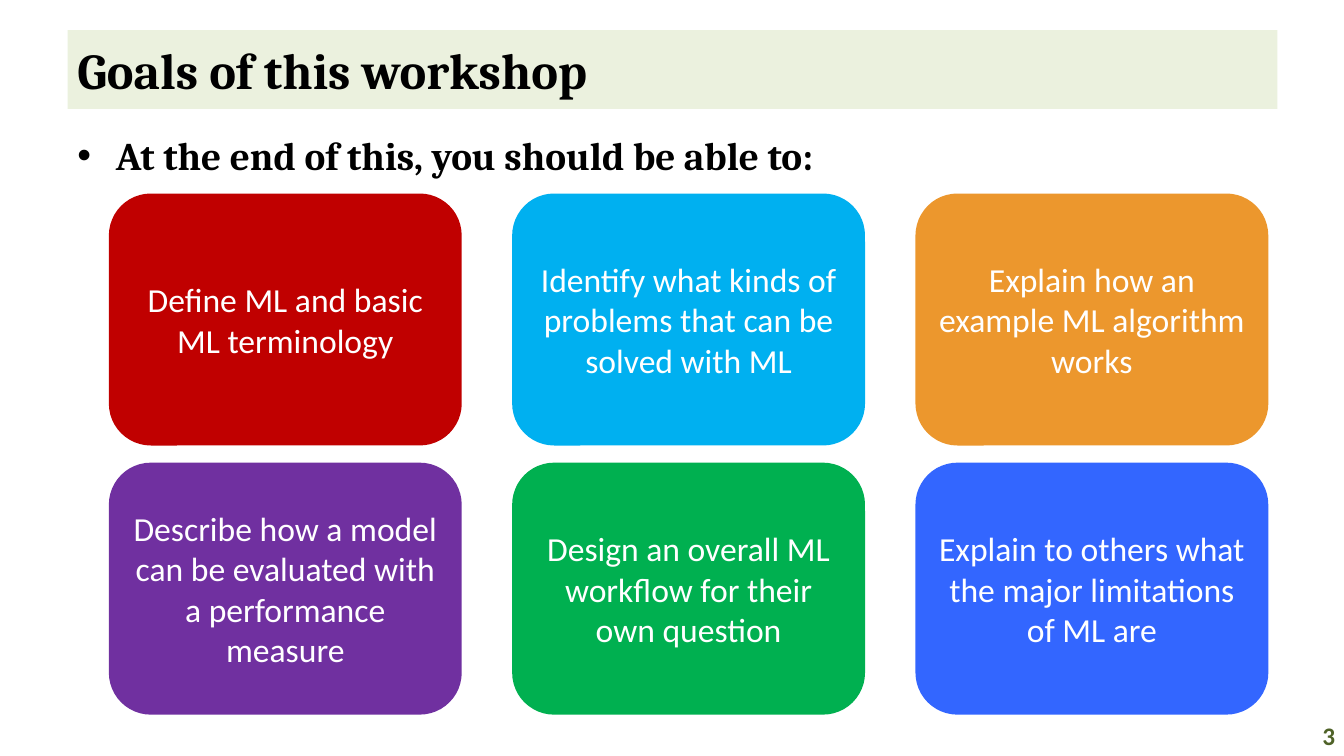
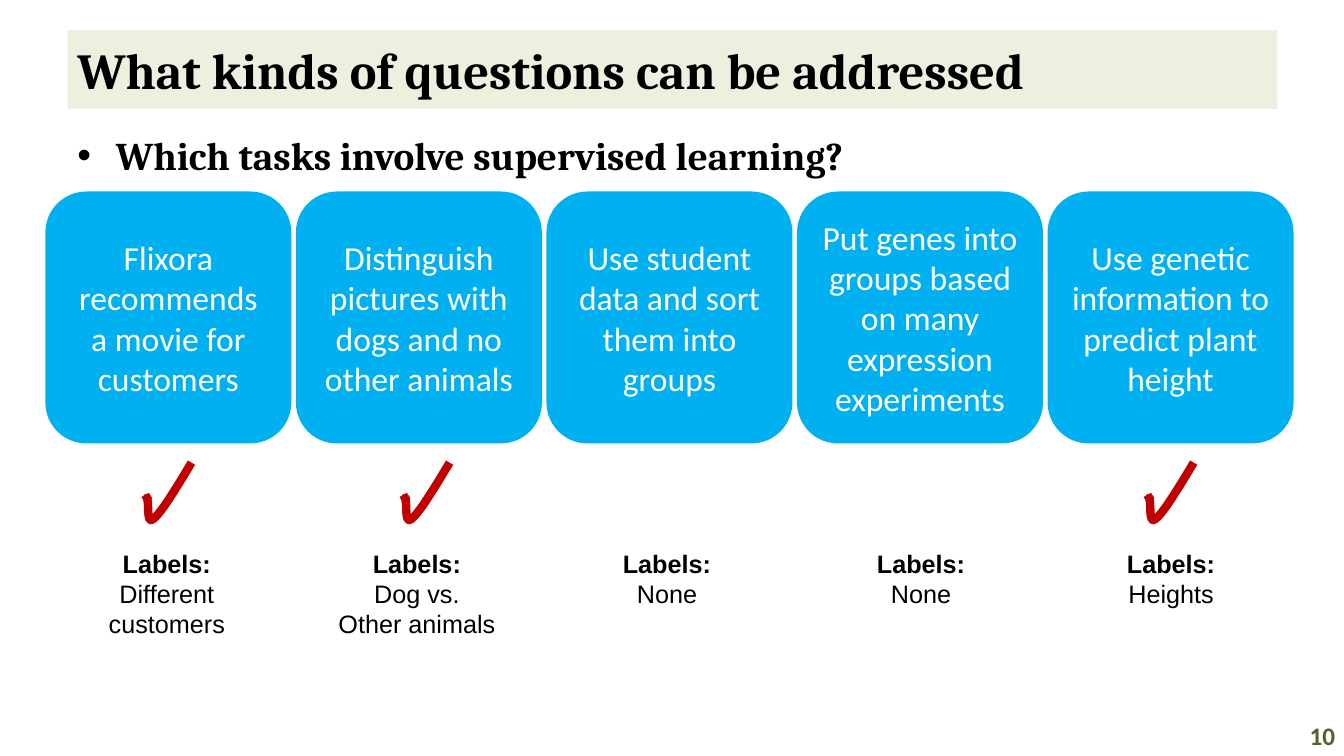
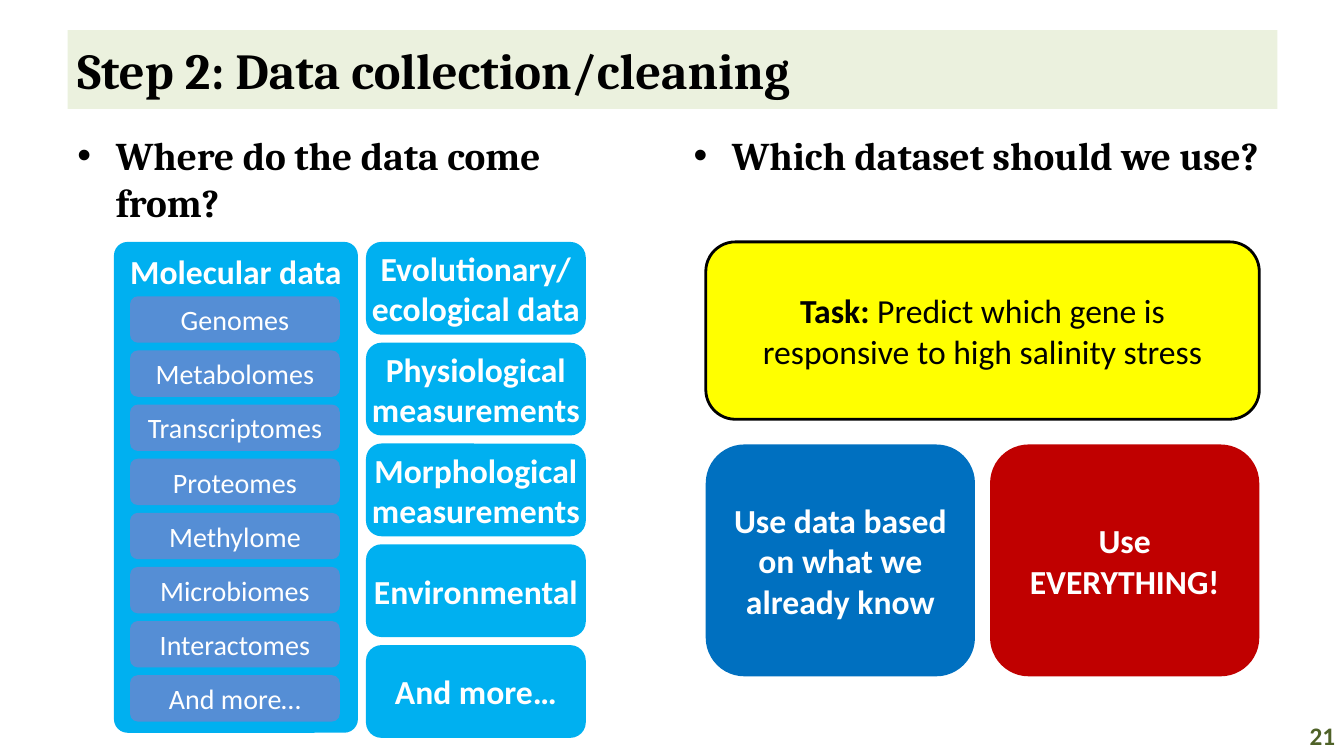
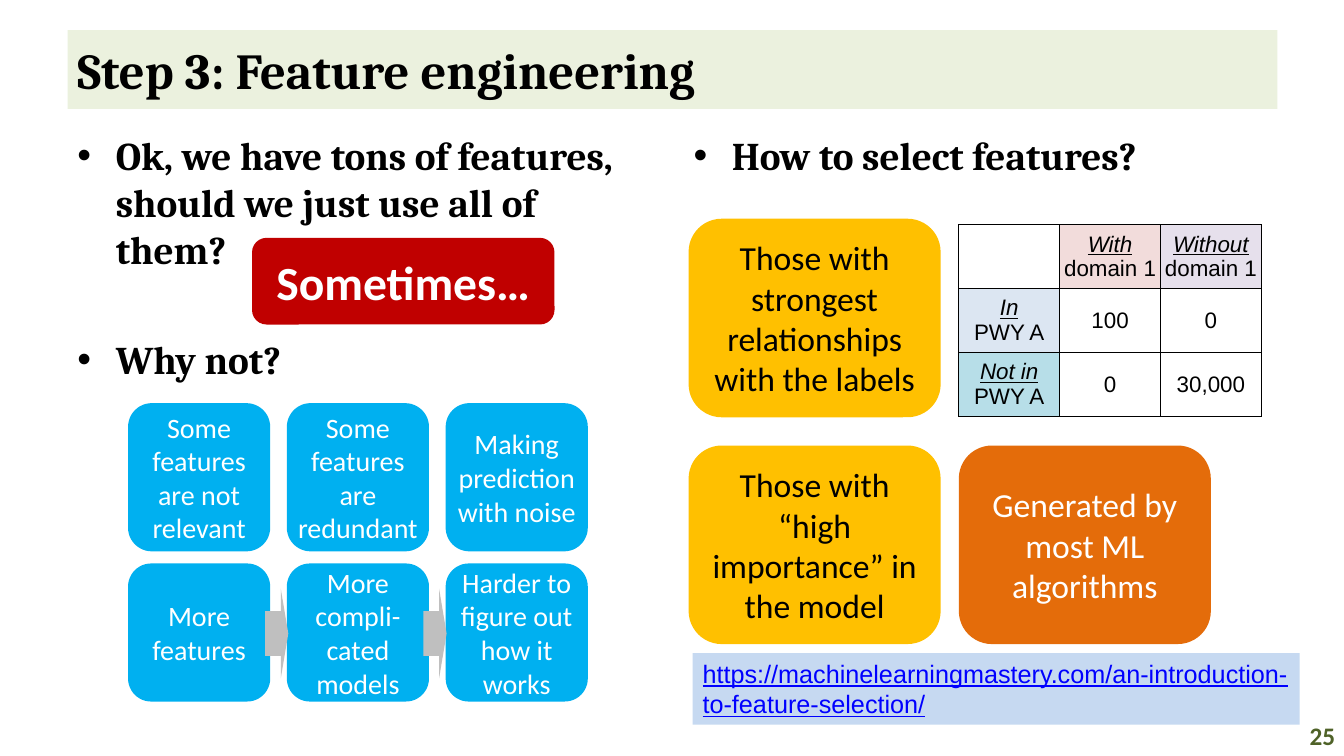
import pptx
import pptx.dml.color
import pptx.enum.shapes
import pptx.enum.text
import pptx.oxml
import pptx.oxml.ns
import pptx.util

Inches = pptx.util.Inches
Pt = pptx.util.Pt
RGBColor = pptx.dml.color.RGBColor
MSO_SHAPE = pptx.enum.shapes.MSO_SHAPE
MSO_ANCHOR = pptx.enum.text.MSO_ANCHOR
MSO_AUTO_SIZE = pptx.enum.text.MSO_AUTO_SIZE
PP_ALIGN = pptx.enum.text.PP_ALIGN

BLACK = RGBColor(0x00, 0x00, 0x00)
WHITE = RGBColor(0xFF, 0xFF, 0xFF)
BAND = RGBColor(0xEB, 0xF1, 0xDE)
OLIVE = RGBColor(0x4F, 0x62, 0x28)
RED = RGBColor(0xC0, 0x00, 0x00)
SKY = RGBColor(0x00, 0xB0, 0xF0)
ORANGE = RGBColor(0xEC, 0x97, 0x2D)
PURPLE = RGBColor(0x70, 0x30, 0xA0)
GREEN = RGBColor(0x00, 0xB0, 0x50)
ROYAL = RGBColor(0x33, 0x66, 0xFF)
BLUE = RGBColor(0x00, 0x70, 0xC0)
STEEL = RGBColor(0x55, 0x8E, 0xD5)
YELLOW = RGBColor(0xFF, 0xFF, 0x00)
AMBER = RGBColor(0xFF, 0xC0, 0x00)
RUST = RGBColor(0xE4, 0x6C, 0x0A)
GRAY = RGBColor(0xBF, 0xBF, 0xBF)
LINK = RGBColor(0x00, 0x00, 0xFF)
LINK_BAND = RGBColor(0xC6, 0xD9, 0xF1)
PINK = RGBColor(0xF2, 0xDC, 0xDB)
LILAC = RGBColor(0xE6, 0xE0, 0xEC)
PALE_BLUE = RGBColor(0xDC, 0xE6, 0xF2)
TEAL = RGBColor(0xB7, 0xDE, 0xE8)

TITLE = {"name": "Cambria", "size": Pt(36), "bold": True, "color": BLACK}
BULLET = {**TITLE, "size": Pt(28)}
NUMBER = {"name": "Calibri", "size": Pt(18), "bold": True, "color": OLIVE}
CARD = {"name": "Calibri", "size": Pt(24), "color": WHITE}
CARD_BOLD = {**CARD, "bold": True}
CARD_DARK = {**CARD, "color": BLACK}
CARD_SMALL = {**CARD, "size": Pt(20)}
LABEL = {"name": "Arial", "size": Pt(18), "color": BLACK}
CELL = {**LABEL, "size": Pt(16)}
STRONG = {"bold": True}
STRESS = {"italic": True, "underline": True}

TICK_START = (0, 0.32)
TICK_CURVES = [
    ((0.05, 0.41), (0.01, 0.32), (0.02, 0.36)),
    ((0.04, 0.40), (0.01, 0.62), (0.08, 0.56)),
    ((0.16, 0.50), (0.31, 0.25), (0.46, 0)),
]


def box(x, y, w, h):
    return [Inches(v) for v in (x, y, w, h)]


def write(tf, paragraphs, fmt, align=PP_ALIGN.CENTER):
    """Fill a frame; a paragraph is a string or a list of (text, changes) runs."""
    if isinstance(paragraphs, str):
        paragraphs = [paragraphs]
    for i, runs in enumerate(paragraphs):
        p = tf.paragraphs[0] if i == 0 else tf.add_paragraph()
        p.alignment = align
        for text, changes in [(runs, {})] if isinstance(runs, str) else runs:
            r = p.add_run()
            r.text = text
            for key, value in {**fmt, **changes}.items():
                if key == "color":
                    r.font.color.rgb = value
                else:
                    setattr(r.font, key, value)


def add_box(slide, at, fill, text="", fmt=CARD, shape=MSO_SHAPE.ROUNDED_RECTANGLE,
            align=PP_ALIGN.CENTER, line=None, adjust=(), **frame):
    sp = slide.shapes.add_shape(shape, *box(*at))
    sp.shadow.inherit = False
    sp.fill.solid()
    sp.fill.fore_color.rgb = fill
    if line is None:
        sp.line.fill.background()
    else:
        sp.line.color.rgb = line
        sp.line.width = Pt(2)
    for i, value in enumerate(adjust):
        sp.adjustments[i] = value
    tf = sp.text_frame
    settings = {"word_wrap": True, "vertical_anchor": MSO_ANCHOR.MIDDLE, **frame}
    for key, value in settings.items():
        setattr(tf, key, value)
    if text:
        write(tf, text, fmt, align)
    return sp


def add_text(slide, at, text, fmt, align=PP_ALIGN.LEFT, **frame):
    tf = slide.shapes.add_textbox(*box(*at)).text_frame
    for key, value in {"word_wrap": True, **frame}.items():
        setattr(tf, key, value)
    write(tf, text, fmt, align)
    return tf


def add_bullets(slide, x, w, items, gap=0):
    tf = add_text(slide, (x, 1.25, w, 5.85), items, BULLET)
    for i, p in enumerate(tf.paragraphs):
        pPr = p._p.get_or_add_pPr()
        pPr.set("marL", str(Inches(0.38)))
        pPr.set("indent", str(-Inches(0.38)))
        for tag, key, value in (("a:buFont", "typeface", "Arial"), ("a:buChar", "char", "•")):
            bullet = pptx.oxml.ns.qn(tag)
            pPr.append(pPr.makeelement(bullet, {key: value}))
        if i:
            p.space_before = Pt(gap)


def add_tick(slide, x, y):
    steps = 8
    start = TICK_START
    points = []
    for a, b, end in TICK_CURVES:
        for t in (n / steps for n in range(1, steps + 1)):
            weights = ((1 - t) ** 3, 3 * t * (1 - t) ** 2, 3 * t * t * (1 - t), t ** 3)
            points.append(tuple(
                sum(k * q[axis] for k, q in zip(weights, (start, a, b, end)))
                for axis in (0, 1)))
        start = end
    place = [(Inches(x + dx), Inches(y + dy)) for dx, dy in [TICK_START] + points]
    builder = slide.shapes.build_freeform(*place[0])
    builder.add_line_segments(place[1:], close=False)
    sp = builder.convert_to_shape()
    sp.shadow.inherit = False
    sp.fill.background()
    sp.line.color.rgb = RED
    sp.line.width = Pt(6)


def add_borders(cell):
    tcPr = cell._tc.get_or_add_tcPr()
    for side in "LRTB":
        tcPr.append(pptx.oxml.parse_xml(
            f'<a:ln{side} {pptx.oxml.ns.nsdecls("a")} w="{Pt(1)}"><a:solidFill>'
            f'<a:srgbClr val="{BLACK}"/></a:solidFill></a:ln{side}>'))


def add_grid_table(slide, x, y, widths, heights, rows):
    """Each cell is a (paragraphs, fill) pair; no fill leaves it clear."""
    size = (sum(widths), sum(heights))
    table = slide.shapes.add_table(len(rows), len(widths), *box(x, y, *size)).table
    table.first_row = table.horz_banding = False
    for column, w in zip(table.columns, widths):
        column.width = Inches(w)
    for row, h, cells in zip(table.rows, heights, rows):
        row.height = Inches(h)
        for cell, (text, fill) in zip(row.cells, cells):
            cell.margin_left = cell.margin_right = 0
            cell.vertical_anchor = MSO_ANCHOR.MIDDLE
            add_borders(cell)
            if fill is None:
                cell.fill.background()
            else:
                cell.fill.solid()
                cell.fill.fore_color.rgb = fill
            if text:
                write(cell.text_frame, text, CELL)


def add_slide(prs, title, number):
    slide = prs.slides.add_slide(prs.slide_layouts[6])
    add_box(slide, (0.67, 0.3, 12, 0.78), BAND, title, TITLE,
            MSO_SHAPE.RECTANGLE, PP_ALIGN.LEFT)
    add_text(slide, (12.67, 7.1, 0.67, 0.4), str(number), NUMBER, PP_ALIGN.RIGHT,
             vertical_anchor=MSO_ANCHOR.MIDDLE)
    return slide


def goals_slide(prs):
    slide = add_slide(prs, "Goals of this workshop", 3)
    add_bullets(slide, 0.67, 12, ["At the end of this, you should be able to:"])
    goals = [
        ("Define ML and basic ML terminology", RED),
        ("Identify what kinds of problems that can be solved with ML", SKY),
        ("Explain how an example ML algorithm works", ORANGE),
        ("Describe how a model can be evaluated with a performance measure", PURPLE),
        ("Design an overall ML workflow for their own question", GREEN),
        ("Explain to others what the major limitations of ML are", ROYAL),
    ]
    for i, (text, fill) in enumerate(goals):
        row, col = divmod(i, 3)
        add_box(slide, (1.08 + 4 * col, 1.92 + 2.67 * row, 3.5, 2.5), fill, text)


def questions_slide(prs):
    slide = add_slide(prs, "What kinds of questions can be addressed", 10)
    add_bullets(slide, 0.67, 12, ["Which tasks involve supervised learning?"])
    # task, label lines, label left and width, left of the tick
    tasks = [
        ("Flixora recommends a movie for customers", ["Different", "customers"],
         0.97, 1.37, 1.44),
        ("Distinguish pictures with dogs and no other animals", ["Dog vs.", "Other animals"],
         3.25, 1.77, 4),
        ("Use student data and sort them into groups", ["None"], 6.07, 1.09, None),
        ("Put genes into groups based on many expression experiments", ["None"],
         8.59, 1.09, None),
        ("Use genetic information to predict plant height", ["Heights"], 11.07, 1.09, 11.38),
    ]
    for i, (task, labels, x, w, tick) in enumerate(tasks):
        add_box(slide, (0.45 + 2.485 * i, 1.9, 2.44, 2.5), SKY, task)
        if tick is not None:
            add_tick(slide, tick, 4.59)
        add_text(slide, (x, 5.39, w, 0.41 + 0.3 * len(labels)),
                 [[("Labels:", STRONG)]] + labels, LABEL, PP_ALIGN.CENTER,
                 word_wrap=False, auto_size=MSO_AUTO_SIZE.SHAPE_TO_FIT_TEXT)


def data_slide(prs):
    slide = add_slide(prs, "Step 2: Data collection/cleaning", 21)
    add_bullets(slide, 0.67, 5.89, ["Where do the data come from?"])
    add_bullets(slide, 6.78, 5.89, ["Which dataset should we use?"])

    add_box(slide, (1.13, 2.4, 2.42, 4.87), SKY, "Molecular data", CARD_BOLD,
            adjust=[0.056], word_wrap=False, vertical_anchor=MSO_ANCHOR.TOP)
    molecular = ["Genomes", "Metabolomes", "Transcriptomes", "Proteomes", "Methylome",
                 "Microbiomes", "Interactomes", "And more…"]
    for i, text in enumerate(molecular):
        add_box(slide, (1.29, 2.94 + 0.537 * i, 2.08, 0.46), STEEL, text, CARD_SMALL,
                word_wrap=False)

    other = [["Evolutionary/", "ecological data"], ["Physiological", "measurements"],
             ["Morphological", "measurements"], "Environmental", "And more…"]
    for i, text in enumerate(other):
        add_box(slide, (3.63, 2.4 + i, 2.18, 0.92), SKY, text, CARD_BOLD, word_wrap=False)

    task = [[("Task:", STRONG), (" Predict which gene is responsive to high salinity stress", {})]]
    add_box(slide, (7, 2.4, 5.49, 1.76), YELLOW, task, CARD_DARK, line=BLACK)
    choices = [("Use data based on what we already know", BLUE), ("Use EVERYTHING!", RED)]
    for i, (text, fill) in enumerate(choices):
        add_box(slide, (7 + 2.82 * i, 4.41, 2.67, 2.3), fill, text, CARD_BOLD)


def features_slide(prs):
    slide = add_slide(prs, "Step 3: Feature engineering", 25)
    add_bullets(slide, 0.67, 5.89, [
        "Ok, we have tons of features, should we just use all of them?", "Why not?"], gap=45)
    add_bullets(slide, 6.78, 5.89, ["How to select features?"])
    add_box(slide, (2.5, 2.36, 3, 0.86), RED, "Sometimes…", {**CARD_BOLD, "size": Pt(34)})

    reasons = [
        (4, 1.47, ["Some features are not relevant", "Some features are redundant",
                   "Making prediction with noise"]),
        (5.59, 1.37, ["More features", "More compli-cated models",
                      "Harder to figure out how it works"]),
    ]
    for y, h, texts in reasons:
        for i, text in enumerate(texts):
            add_box(slide, (1.27 + 1.575 * i, y, 1.41, h), SKY, text, CARD_SMALL,
                    margin_left=0, margin_right=0)
    for x in (2.63, 4.2):
        add_box(slide, (x, 5.84, 0.23, 0.89), GRAY, shape=MSO_SHAPE.RIGHT_ARROW,
                adjust=[0.5, 0.325])

    methods = [
        (6.83, 2.17, AMBER, "Those with strongest relationships with the labels", CARD_DARK),
        (6.83, 4.42, AMBER, "Those with “high importance” in the model", CARD_DARK),
        (9.51, 4.42, RUST, "Generated by most ML algorithms", CARD),
    ]
    for x, y, fill, text, fmt in methods:
        add_box(slide, (x, y, 2.5, 1.97), fill, text, fmt)

    add_grid_table(slide, 9.51, 2.23, [1, 1, 1], [0.6, 0.62, 0.62], [
        [("", None),
         ([[("With", STRESS), (" domain 1", {})]], PINK),
         ([[("Without", STRESS), (" domain 1", {})]], LILAC)],
        [([[("In", STRESS)], "PWY A"], PALE_BLUE), ("100", None), ("0", None)],
        [([[("Not in ", STRESS), ("PWY A", {})]], TEAL), ("0", None), ("30,000", None)],
    ])
    add_box(slide, (6.87, 6.48, 6.02, 0.71), LINK_BAND,
            "https://machinelearningmastery.com/an-introduction-to-feature-selection/",
            {**LABEL, "color": LINK, "underline": True}, MSO_SHAPE.RECTANGLE,
            PP_ALIGN.LEFT, vertical_anchor=MSO_ANCHOR.TOP)


def main():
    prs = pptx.Presentation()
    prs.slide_width = Inches(13.33)
    prs.slide_height = Inches(7.5)
    for build in (goals_slide, questions_slide, data_slide, features_slide):
        build(prs)
    prs.save("out.pptx")


if __name__ == "__main__":
    main()
